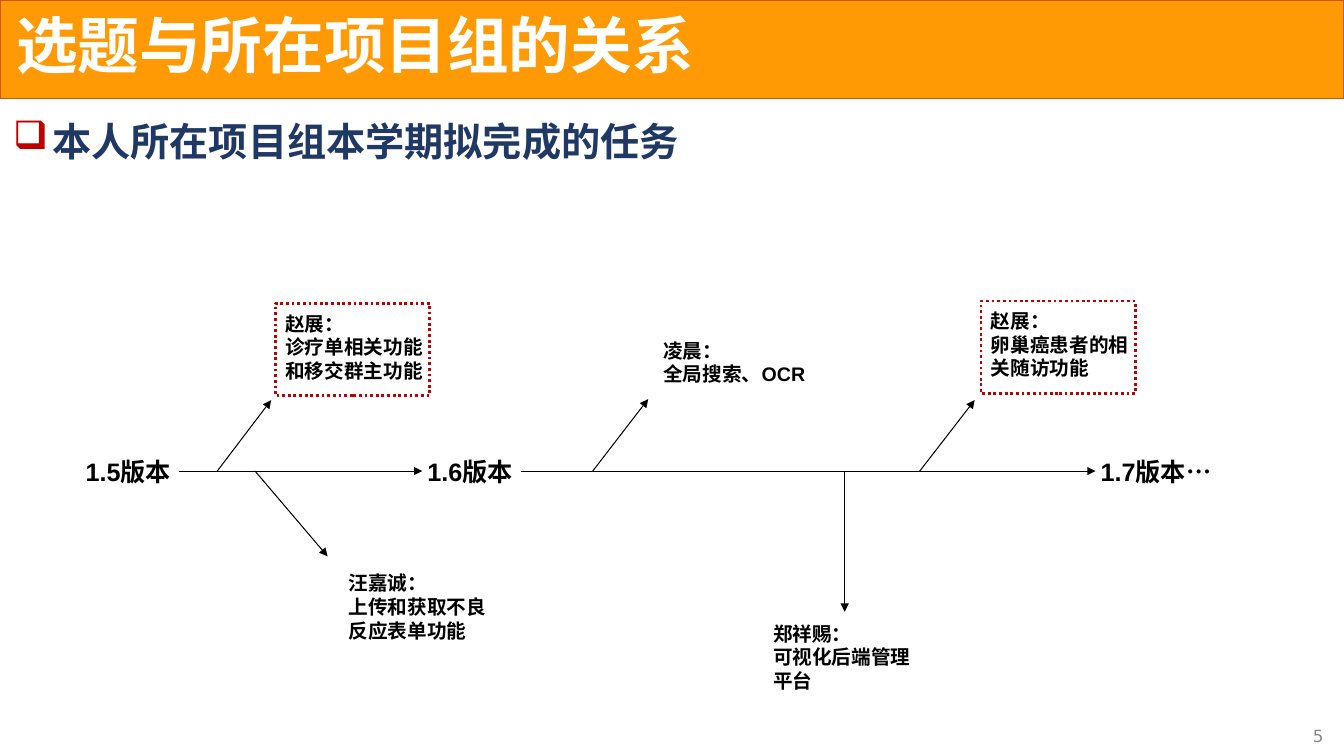
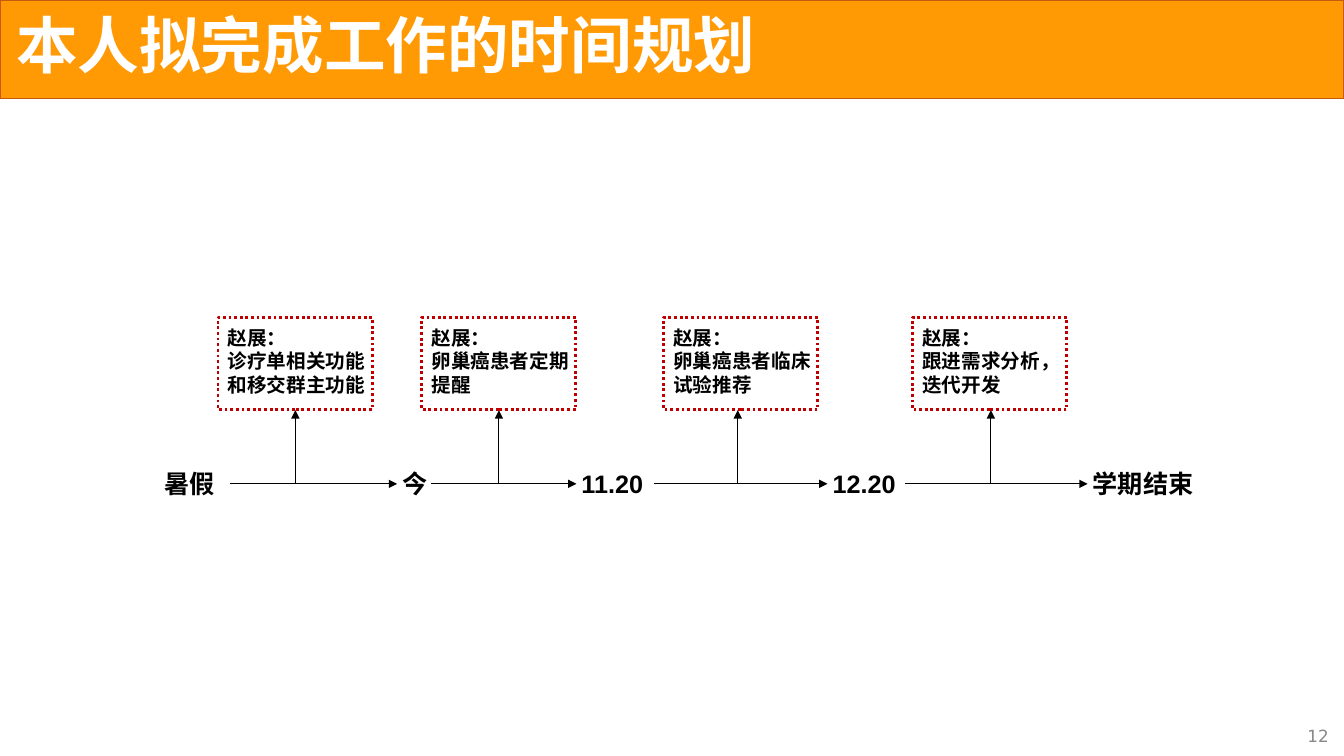
from lxml import etree
from pptx import Presentation
from pptx.dml.color import RGBColor
from pptx.enum.dml import MSO_LINE
from pptx.enum.lang import MSO_LANGUAGE_ID as LANG
from pptx.enum.shapes import MSO_CONNECTOR, MSO_SHAPE
from pptx.enum.text import MSO_ANCHOR as ANCHOR, MSO_AUTO_SIZE as AUTO, PP_ALIGN as ALIGN
from pptx.oxml.ns import qn
from pptx.util import Pt

# Content: milestones are (text, left, width);
# branches are (person, task, (left, top), arrow start, arrow end, framed)
STEM_Y, STEM_TIP, TASK_TOP = 345.6, 293, 229
PLAN = [
    ("诊疗单相关功能和移交群主功能", 159.1, 211),
    ("卵巢癌患者定期提醒", 304.6, 356.4),
    ("卵巢癌患者临床试验推荐", 477.4, 527),
    ("跟进需求分析，迭代开发", 655.2, 707.8),
]
SLIDES = [
    {
        "title": "选题与所在项目组的关系",
        "heading": "本人所在项目组本学期拟完成的任务",
        "number": "5",
        "axis": 336.5,
        "milestones": [("1.5版本", 57.6, 70.5), ("1.6版本", 301.7, 70.5),
                       ("1.7版本…", 782.6, 92)],
        "branches": [
            ("赵展：", "诊疗单相关功能和移交群主功能", (200.2, 218.9),
             (154.8, 337), (193.7, 285.8), True),
            ("汪嘉诚：", "上传和获取不良反应表单功能", (245.5, 404.6),
             (182.2, 336.5), (234, 397.4), False),
            ("凌晨：", "全局搜索、OCR", (470.2, 238.3),
             (423.4, 336.5), (463, 285.1), False),
            ("郑祥赐：", "可视化后端管理平台", (548.6, 440.6),
             (603.4, 337.5), (603.4, 437), False),
            ("赵展：", "卵巢癌患者的相关随访功能", (704.2, 217.4),
             (656.6, 337), (696.2, 285.8), True),
        ],
    },
    {
        "title": "本人拟完成工作的时间规划",
        "heading": None,
        "number": "12",
        "axis": STEM_Y,
        "milestones": [("暑假", 113.8, 50.4), ("今", 283.7, 24.5),
                       ("11.20", 411.8, 55.4), ("12.20", 591.1, 55.4),
                       ("学期结束", 776.9, 79.2)],
        "branches": [("赵展：", task, (left, TASK_TOP), (stem, STEM_Y),
                      (stem, STEM_TIP), True) for task, left, stem in PLAN],
    },
]

# Shared look
COLORS = {"band": "FF9904", "band_edge": "C55A11", "white": "FFFFFF",
          "heading": "203864", "accent": "C00000", "ink": "000000", "number": "888888"}
STYLES = {
    "title": {"size": Pt(44), "name": "Arial", "bold": True, "color": "white"},
    "heading": {"size": Pt(28), "name": "DejaVu Sans", "bold": True, "color": "heading"},
    "milestone": {"size": Pt(18), "name": "Arial", "bold": True, "color": "ink"},
    "task": {"size": Pt(14), "name": "Arial", "bold": True, "color": "ink"},
    "number": {"size": Pt(12), "name": "DejaVu Sans", "bold": False, "color": "number"},
}
WIDTH, HEIGHT, BAND_HEIGHT = 960, 540, 70.5
TASK_WIDTH, TASK_HEIGHT, FRAME_HEIGHT = 110.2, 58.3, 66.2
FRAME_SHIFT = (-3.4, -2.4)
LABEL_HEIGHT = 28.8
INSET = 3.6


def rgb(name):
    return RGBColor.from_string(COLORS[name])


def add_text(slide, box, lines, style, **frame_format):
    frame = slide.shapes.add_textbox(*map(Pt, box)).text_frame
    settings = {"word_wrap": True, "auto_size": AUTO.NONE, **frame_format}
    for side in ("left", "right", "top", "bottom"):
        settings[f"margin_{side}"] = Pt(INSET)
    for key, value in settings.items():
        setattr(frame, key, value)
    for i, line in enumerate(lines):
        paragraph = frame.add_paragraph() if i else frame.paragraphs[0]
        run = paragraph.add_run()
        run.text = line
        run.font.language_id = LANG.SIMPLIFIED_CHINESE
        for key, value in STYLES[style].items():
            if key == "color":
                run.font.color.rgb = rgb(value)
            else:
                setattr(run.font, key, value)
    return frame.paragraphs[0]


def add_box(slide, box, line_color, line_width, fill=None, dash=None):
    shape = slide.shapes.add_shape(MSO_SHAPE.RECTANGLE, *map(Pt, box))
    shape.shadow.inherit = False
    if fill:
        shape.fill.solid()
        shape.fill.fore_color.rgb = rgb(fill)
    else:
        shape.fill.background()
    shape.line.color.rgb = rgb(line_color)
    shape.line.width = Pt(line_width)
    if dash:
        shape.line.dash_style = dash


def add_arrow(slide, start, end):
    arrow = slide.shapes.add_connector(MSO_CONNECTOR.STRAIGHT, *map(Pt, start + end))
    arrow.line.color.rgb = rgb("ink")
    arrow.line.width = Pt(0.75)
    properties = arrow.line._get_or_add_ln()
    etree.SubElement(properties, qn("a:tailEnd"), type="triangle")
    etree.SubElement(properties.getparent(), qn("a:effectLst"))


def add_heading(slide, text):
    heading = add_text(slide, (5.8, 80, 947.5, 43), [text], "heading")
    heading.space_before = Pt(10)
    layout = heading._p.get_or_add_pPr()
    indent = Pt(28)
    layout.set("marL", str(indent))
    layout.set("indent", str(-indent))
    bullet_color = etree.SubElement(layout, qn("a:buClr"))
    etree.SubElement(bullet_color, qn("a:srgbClr"), val=COLORS["accent"])
    etree.SubElement(layout, qn("a:buChar"), char="❑")


def add_base(slide, content):
    add_box(slide, (0, 0, WIDTH, BAND_HEIGHT), "band_edge", 1, fill="band")
    title = add_text(slide, (8, 0, 820, 69), [content["title"]], "title",
                     vertical_anchor=ANCHOR.MIDDLE)
    title.line_spacing = 0.9
    if content["heading"]:
        add_heading(slide, content["heading"])
    number = add_text(slide, (929.5, 514, 24, 22), [content["number"]], "number",
                      vertical_anchor=ANCHOR.BOTTOM, word_wrap=False)
    number.alignment = ALIGN.CENTER


def add_timeline(slide, milestones, axis):
    for text, left, width in milestones:
        add_text(slide, (left, axis - LABEL_HEIGHT / 2, width, LABEL_HEIGHT), [text],
                 "milestone", auto_size=AUTO.SHAPE_TO_FIT_TEXT)
    # Each arrow runs from one label's right edge to the next label
    for (_, left, width), (_, next_left, _) in zip(milestones, milestones[1:]):
        add_arrow(slide, (left + width, axis), (next_left, axis))


def add_branch(slide, person, task, corner, start, end, framed):
    add_arrow(slide, start, end)
    if framed:
        left, top = (place + shift for place, shift in zip(corner, FRAME_SHIFT))
        add_box(slide, (left, top, TASK_WIDTH, FRAME_HEIGHT), "accent", 2,
                dash=MSO_LINE.ROUND_DOT)
    add_text(slide, (*corner, TASK_WIDTH, TASK_HEIGHT), [person, task], "task",
             auto_size=AUTO.SHAPE_TO_FIT_TEXT)


def main():
    deck = Presentation()
    deck.slide_width, deck.slide_height = Pt(WIDTH), Pt(HEIGHT)
    for content in SLIDES:
        slide = deck.slides.add_slide(deck.slide_layouts[6])
        add_base(slide, content)
        add_timeline(slide, content["milestones"], content["axis"])
        for branch in content["branches"]:
            add_branch(slide, *branch)
    deck.save("out.pptx")


if __name__ == "__main__":
    main()
